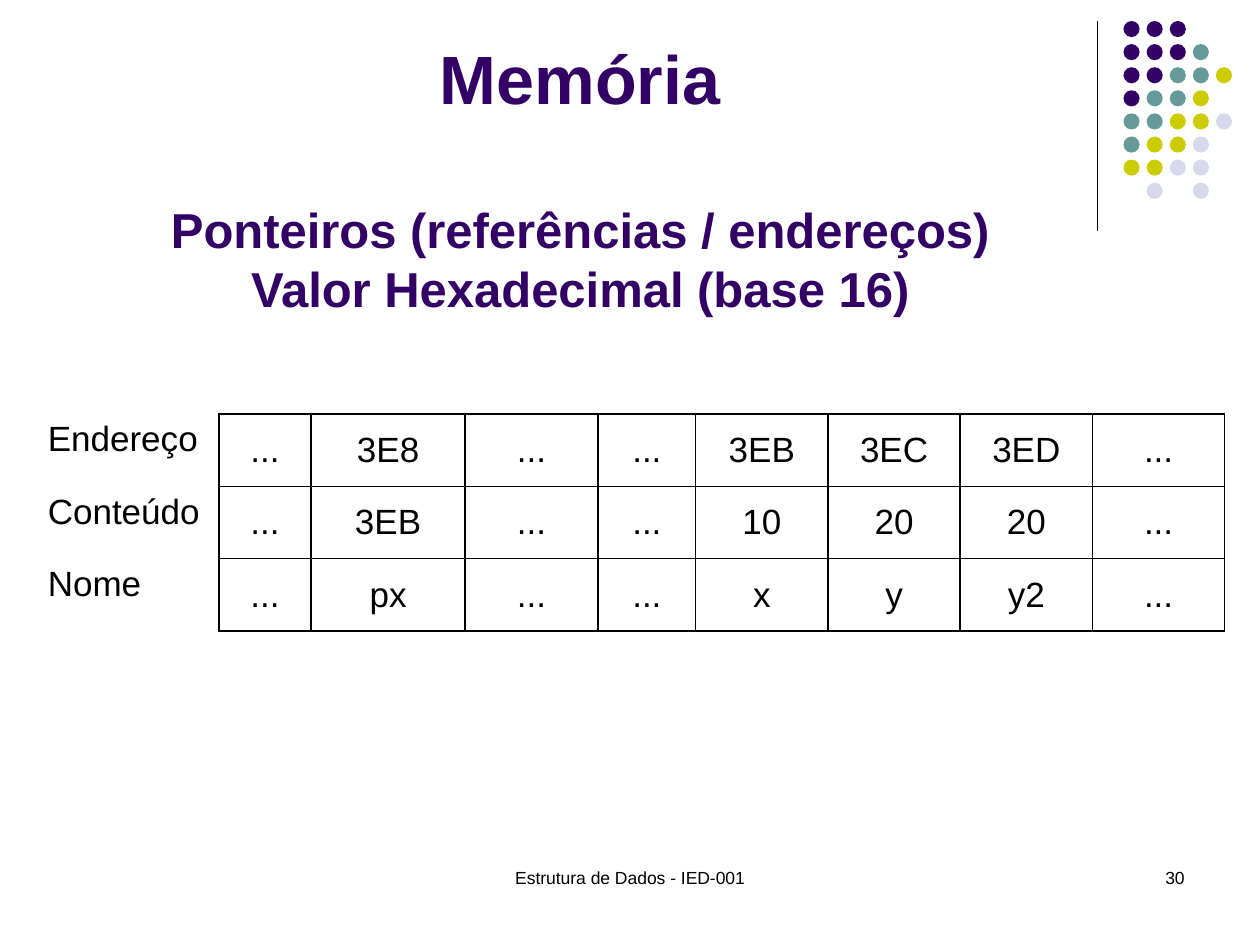
"""Build the slide on memory, pointers and hexadecimal addresses."""
from dataclasses import dataclass

from lxml.etree import SubElement
from pptx import Presentation
from pptx.dml.color import RGBColor
from pptx.enum.shapes import MSO_CONNECTOR, MSO_SHAPE
from pptx.enum.text import MSO_ANCHOR, PP_ALIGN
from pptx.oxml.ns import qn
from pptx.util import Pt


@dataclass(frozen=True)
class Theme:
    font: str = "Arial"
    ink: str = "000000"
    purple: str = "330066"
    teal: str = "669999"
    lime: str = "CCCC00"
    lilac: str = "D8D8EC"
    title: float = 39
    subtitle: float = 28
    cell: float = 20
    footer: float = 10
    rule: float = 0.75
    border: float = 1


THEME = Theme()

TITLE = "Memória"
SUBTITLE = "Ponteiros (referências / endereços)\vValor Hexadecimal (base 16)"
MEMORY = [
    ["Endereço", "...", "3E8", "...", "...", "3EB", "3EC", "3ED", "..."],
    ["Conteúdo", "...", "3EB", "...", "...", "10", "20", "20", "..."],
    ["Nome", "...", "px", "...", "...", "x", "y", "y2", "..."],
]
COLUMN_WIDTHS = [105, 52.7, 88, 76, 55.8] + [75.6] * 4
ROW_HEIGHT = 41.4
FOOTERS = [
    ("Estrutura de Dados - IED-001", 246, 228, PP_ALIGN.CENTER),
    ("30", 516, 168, PP_ALIGN.RIGHT),
]
DOT_ROWS = ["PPP", "PPPT", "PPTTY", "PTTY", "TTYYL", "TYYL", "YYLL", " L L"]
DOT_COLORS = {"P": THEME.purple, "T": THEME.teal, "Y": THEME.lime, "L": THEME.lilac}
DOT_LEFT, DOT_TOP, DOT_PITCH, DOT_SIZE = 642, 12, 13.2, 9.2


def rgb(color):
    return RGBColor.from_string(color)


def style(paragraph, size, color, align, bold=False):
    paragraph.alignment = align
    font = paragraph.font
    font.name, font.size, font.bold = THEME.font, Pt(size), bold
    font.color.rgb = rgb(color)


def add_title(slide):
    title = slide.shapes.title
    title.left, title.top, title.width, title.height = Pt(76.3), Pt(21), Pt(510.5), Pt(164)
    frame = title.text_frame
    frame.word_wrap = True
    frame.vertical_anchor = MSO_ANCHOR.BOTTOM
    heading = frame.paragraphs[0]
    heading.text = TITLE
    style(heading, THEME.title, THEME.purple, PP_ALIGN.CENTER, True)
    subtitle = frame.add_paragraph()
    subtitle.text = SUBTITLE
    style(subtitle, THEME.subtitle, THEME.purple, PP_ALIGN.CENTER, True)
    subtitle.space_before = Pt(46.8)
    subtitle.line_spacing = Pt(33.6)


def add_ornament(slide):
    rule = slide.shapes.add_connector(
        MSO_CONNECTOR.STRAIGHT, Pt(627), Pt(12), Pt(627), Pt(132))
    rule.line.color.rgb = rgb(THEME.ink)
    rule.line.width = Pt(THEME.rule)
    SubElement(rule._element.spPr, qn("a:effectLst"))
    for row, keys in enumerate(DOT_ROWS):
        for column, key in enumerate(keys):
            if key not in DOT_COLORS:
                continue
            dot = slide.shapes.add_shape(
                MSO_SHAPE.OVAL,
                Pt(DOT_LEFT + column * DOT_PITCH), Pt(DOT_TOP + row * DOT_PITCH),
                Pt(DOT_SIZE), Pt(DOT_SIZE))
            dot.shadow.inherit = False
            dot.fill.solid()
            dot.fill.fore_color.rgb = rgb(DOT_COLORS[key])
            dot.line.fill.background()


def set_borders(cell, drawn_sides):
    properties = cell._tc.get_or_add_tcPr()
    for index, side in enumerate("LRTB"):
        line = SubElement(properties, qn(f"a:ln{side}"), w=str(Pt(THEME.border)))
        if side in drawn_sides:
            fill = SubElement(line, qn("a:solidFill"))
            SubElement(fill, qn("a:srgbClr"), val=THEME.ink)
        else:
            SubElement(line, qn("a:noFill"))
        properties.remove(line)
        properties.insert(index, line)


def add_memory_table(slide):
    table = slide.shapes.add_table(
        len(MEMORY), len(COLUMN_WIDTHS), Pt(20.1), Pt(236.5),
        Pt(sum(COLUMN_WIDTHS)), Pt(ROW_HEIGHT * len(MEMORY))).table
    table.first_row = table.horz_banding = False
    for column, width in zip(table.columns, COLUMN_WIDTHS):
        column.width = Pt(width)
    for row, values in enumerate(MEMORY):
        table.rows[row].height = Pt(ROW_HEIGHT)
        for column, value in enumerate(values):
            is_label = column == 0
            cell = table.cell(row, column)
            cell.text = value
            cell.fill.background()
            cell.vertical_anchor = MSO_ANCHOR.TOP if is_label else MSO_ANCHOR.MIDDLE
            style(cell.text_frame.paragraphs[0], THEME.cell, THEME.ink,
                  PP_ALIGN.LEFT if is_label else PP_ALIGN.CENTER)
            set_borders(cell, "R" if is_label else "LRTB")


def add_footers(slide):
    for text, left, width, align in FOOTERS:
        frame = slide.shapes.add_textbox(Pt(left), Pt(492), Pt(width), Pt(36)).text_frame
        frame.word_wrap = True
        footer = frame.paragraphs[0]
        footer.text = text
        style(footer, THEME.footer, THEME.ink, align)


def main():
    presentation = Presentation()
    presentation.slide_width, presentation.slide_height = Pt(720), Pt(540)
    slide = presentation.slides.add_slide(presentation.slide_layouts[5])
    add_ornament(slide)
    add_title(slide)
    add_footers(slide)
    add_memory_table(slide)
    presentation.save("out.pptx")


if __name__ == "__main__":
    main()
